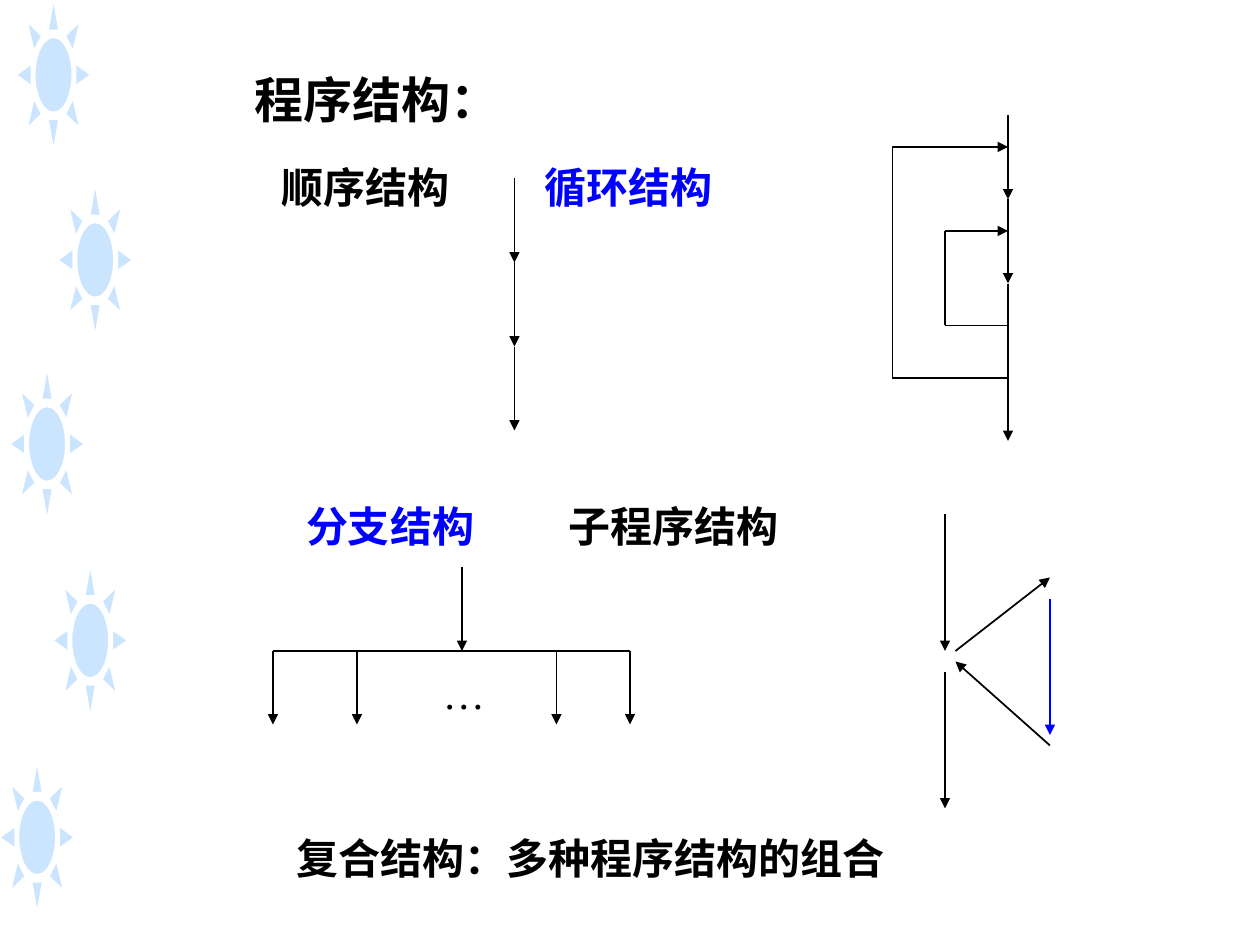
from lxml import etree
from pptx import Presentation
from pptx import util as u
from pptx.dml.color import RGBColor
from pptx.enum import shapes, text
from pptx.oxml.ns import qn

BLACK = RGBColor(0, 0, 0)
BLUE = RGBColor(0, 0, 255)
WHITE = RGBColor(255, 255, 255)
SKY = RGBColor(0x99, 0xCC, 0xFF)
SANS, SERIF = "Noto Sans CJK SC", "Times New Roman"
CELL = 2.54 / 12  # the diagrams sit on a grid of twelve cells to the inch


def cells(n):
    return u.Cm(n * CELL)


def place(sp, left, top, width, height):
    sp.left, sp.top = u.Cm(left), u.Cm(top)
    sp.width, sp.height = u.Cm(width), u.Cm(height)


def write(sp, parts, size=24, font=SANS, bold=True, tab=None):
    """Fill a shape with one paragraph of (wording, colour) parts."""
    tf = sp.text_frame
    tf.word_wrap = True
    tf.auto_size = text.MSO_AUTO_SIZE.NONE
    tf.vertical_anchor = text.MSO_ANCHOR.MIDDLE
    p = tf.paragraphs[0]
    p.alignment = text.PP_ALIGN.LEFT
    p.font.size, p.font.bold, p.font.name = u.Pt(size), bold, font
    props = p._p.pPr.find(qn("a:defRPr"))
    etree.SubElement(props, qn("a:ea")).set("typeface", SANS)
    if tab:
        tabs = etree.Element(qn("a:tabLst"))
        etree.SubElement(tabs, qn("a:tab"), pos=str(u.Cm(tab)), algn="l")
        props.addprevious(tabs)
    for wording, colour in parts:
        r = p.add_run()
        r.text = wording
        r.font.color.rgb = colour


def add_label(s, box, parts, indent=0.25, **style):
    sp = s.shapes.add_textbox(0, 0, 0, 0)
    place(sp, *box)
    write(sp, parts, **style)
    sp.text_frame.margin_left = u.Cm(indent)


def add_line(group, origin, start, end, arrow=True, colour=BLACK):
    (x, y), (x1, y1), (x2, y2) = origin, start, end
    line = group.shapes.add_connector(
        shapes.MSO_CONNECTOR.STRAIGHT,
        cells(x + x1), cells(y + y1), cells(x + x2), cells(y + y2))
    line.line.color.rgb = colour
    line.line.width = u.Pt(1)
    if arrow:
        etree.SubElement(line.line._get_or_add_ln(), qn("a:tailEnd"), type="triangle")
    etree.SubElement(line._element.spPr, qn("a:effectLst"))


def add_suns(s, spots):
    group = s.shapes.add_group_shape()
    for left, top in spots:
        sun = group.shapes.add_shape(shapes.MSO_SHAPE.SUN, 0, 0, 0, 0)
        place(sun, left, top, 1.5, 3.02)
        sun.shadow.inherit = False
        sun.fill.solid()
        sun.fill.fore_color.rgb = SKY
        colour = sun._element.spPr.find(qn("a:solidFill"))[0]
        etree.SubElement(colour, qn("a:alpha"), val="50000")
        sun.line.color.rgb = WHITE
        sun.line.width = u.Pt(0.75)


def add_sequence(s, origin):
    group = s.shapes.add_group_shape()
    for y in (0, 8, 16):
        add_line(group, origin, (0, y), (0, y + 8))


def add_loops(s, origin):
    group = s.shapes.add_group_shape()
    trunk = 11
    for y1, y2 in ((0, 8), (8, 16), (16, 31)):
        add_line(group, origin, (trunk, y1), (trunk, y2))
    # Inner and outer way back
    for x, bottom, top in ((5, 20, 11), (0, 25, 3)):
        add_line(group, origin, (trunk, bottom), (x, bottom), arrow=False)
        add_line(group, origin, (x, bottom), (x, top), arrow=False)
        add_line(group, origin, (x, top), (trunk, top))


def add_branches(s, origin):
    group = s.shapes.add_group_shape()
    add_line(group, origin, (0, 8), (34, 8), arrow=False)
    for x in (0, 8, 27, 34):
        add_line(group, origin, (x, 8), (x, 15))
    add_line(group, origin, (18, 0), (18, 8))
    x, y = origin
    add_label(group, [n * CELL for n in (x + 15, y + 9, 8, 6)],
              [("…", BLACK)], font=SERIF, bold=False)


def add_subroutine(s, origin):
    group = s.shapes.add_group_shape()
    add_line(group, origin, (0, 0), (0, 13))
    add_line(group, origin, (0, 15), (0, 28))
    add_line(group, origin, (1, 13), (10, 6))                 # call
    add_line(group, origin, (10, 8), (10, 21), colour=BLUE)   # body
    add_line(group, origin, (10, 22), (1, 14))                # return


def main():
    prs = Presentation()
    prs.slide_width, prs.slide_height = u.Cm(25.4), u.Cm(19.05)
    s = prs.slides.add_slide(prs.slide_layouts[5])

    # Side decoration
    add_suns(s, ((0.33, 0), (1.17, 3.73), (0.2, 7.44), (1.07, 11.4), (0, 15.37)))

    # Title and headings
    place(s.shapes.title, 4.88, 1.27, 5.6, 1.45)
    write(s.shapes.title, [("程序结构：", BLACK)], size=28, font=SERIF)
    add_label(s, (5.08, 3.12, 12.55, 1.27),
              [("顺序结构\t", BLACK), ("循环结构", BLUE)], indent=0.6, tab=5.3)
    add_label(s, (5.92, 9.96, 12.9, 1.27),
              [("分支结构\t", BLUE), ("子程序结构", BLACK)], tab=5.3)
    add_label(s, (5.72, 16.66, 12.5, 1.27),
              [("复合结构：多种程序结构的组合", BLACK)], font=SERIF)

    # Diagrams, each from its top left grid cell
    add_sequence(s, (49, 17))
    add_loops(s, (85, 11))
    add_branches(s, (26, 54))
    add_subroutine(s, (90, 49))
    prs.save("out.pptx")


if __name__ == "__main__":
    main()
